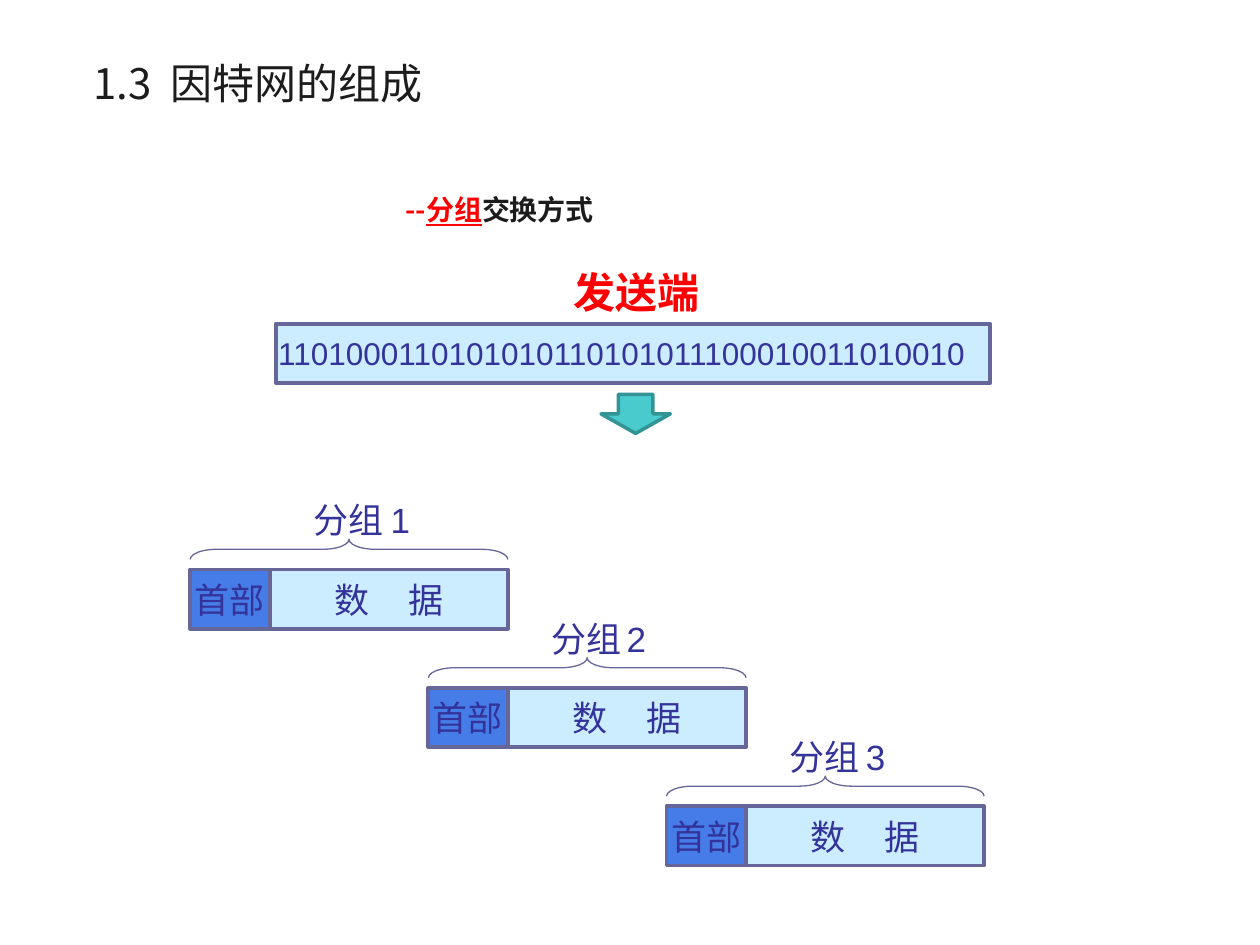
from lxml import etree
from pptx import Presentation
from pptx.dml.color import RGBColor
from pptx.enum.shapes import MSO_SHAPE
from pptx.enum.text import MSO_ANCHOR, MSO_AUTO_SIZE, PP_ALIGN
from pptx.oxml.ns import qn
from pptx.util import Inches, Pt

RECTANGLE = MSO_SHAPE.RECTANGLE
DOWN_ARROW = MSO_SHAPE.DOWN_ARROW
LEFT_BRACE = MSO_SHAPE.LEFT_BRACE
MIDDLE = MSO_ANCHOR.MIDDLE
CENTER = PP_ALIGN.CENTER
FIT_SHAPE = MSO_AUTO_SIZE.SHAPE_TO_FIT_TEXT
NO_FIT = MSO_AUTO_SIZE.NONE

CJK_FONT = "Noto Sans CJK SC"
RED, BLACK, NAVY, SLATE = "FF0000", "1C1C1C", "333399", "666699"
PALE_BLUE, HEADER_BLUE = "CCECFF", "467CE8"

BAR_HEIGHT = 0.47
DATA_WIDTH = 1.89
HEADER_WIDTH = 0.63
PACKET_WIDTH = HEADER_WIDTH + DATA_WIDTH
BRACE_DEPTH = 0.16
LABEL_STYLE = {"size": Pt(20), "name": "Karla"}


def color(hex_value):
    return RGBColor.from_string(hex_value)


def add_run(paragraph, text, hex_color, spacing=None, **font_format):
    """Add a run; spacing is extra letter spacing in points."""
    run = paragraph.add_run()
    run.text = text
    for attribute, value in font_format.items():
        setattr(run.font, attribute, value)
    run.font.color.rgb = color(hex_color)
    properties = run._r.get_or_add_rPr()
    etree.SubElement(properties, qn("a:ea"), typeface=font_format["name"])
    if spacing:
        properties.set("spc", str(int(spacing * 100)))
    return run


def add_text(shapes, left, top, width, height, wrap=False, fit=FIT_SHAPE):
    """Add a text box and return its first paragraph."""
    box = shapes.add_textbox(Inches(left), Inches(top), Inches(width), Inches(height))
    box.text_frame.word_wrap = wrap
    box.text_frame.auto_size = fit
    return box.text_frame.paragraphs[0]


def add_shape(shapes, kind, left, top, width, height, fill=None, line=None, weight=2.25):
    shape = shapes.add_shape(kind, Inches(left), Inches(top), Inches(width), Inches(height))
    shape.shadow.inherit = False
    if fill:
        shape.fill.solid()
        shape.fill.fore_color.rgb = color(fill)
    else:
        shape.fill.background()
    if line:
        shape.line.color.rgb = color(line)
        shape.line.width = Pt(weight)
    else:
        shape.line.fill.background()
    return shape


def centered_paragraph(shape):
    frame = shape.text_frame
    frame.word_wrap = False
    frame.vertical_anchor = MIDDLE
    frame.paragraphs[0].alignment = CENTER
    return frame.paragraphs[0]


def add_title(slide):
    title = slide.shapes.title
    bounds = {"left": 0.16, "top": 0.36, "width": 3.78, "height": 0.6}
    for attribute, value in bounds.items():
        setattr(title, attribute, Inches(value))
    title.text_frame.auto_size = NO_FIT
    paragraph = centered_paragraph(title)
    style = {"size": Pt(24), "name": CJK_FONT}
    add_run(paragraph, "1.3", BLACK, **style)
    add_run(paragraph, " ", BLACK, spacing=5.4, **style)
    add_run(paragraph, "因特网的组成", BLACK, **style)


def add_subtitle(shapes):
    paragraph = add_text(shapes, 2.73, 1.48, 4.22, 0.63, wrap=True, fit=NO_FIT)
    paragraph.space_before = Pt(4)
    properties = paragraph._p.get_or_add_pPr()
    properties.set("marL", str(Inches(0.38)))
    properties.set("indent", str(Inches(0.01)))
    style = {"size": Pt(16), "name": CJK_FONT, "bold": True}
    add_run(paragraph, "--", RED, **style)
    add_run(paragraph, "分组", RED, underline=True, **style)
    add_run(paragraph, "交换方式", BLACK, **style)


def add_message(shapes, left, top):
    """The whole message: three equal segments, a frame and the bits."""
    group = shapes.add_group_shape().shapes
    for index in range(3):
        add_shape(group, RECTANGLE, left + index * DATA_WIDTH, top,
                  DATA_WIDTH, BAR_HEIGHT, PALE_BLUE)
    add_shape(group, RECTANGLE, left, top, 3 * DATA_WIDTH, BAR_HEIGHT, line=SLATE)
    paragraph = add_text(group, left - 0.08, top + 0.03, 5.76, 0.4)
    add_run(paragraph, "1101000110101010110101011100010011010010", NAVY,
            size=Pt(18), name="Arial")


def add_packet(shapes, left, top, number, gap_size):
    """One packet: data, header, brace and numbered label."""
    group = shapes.add_group_shape().shapes
    data = add_shape(group, RECTANGLE, left + HEADER_WIDTH, top,
                     DATA_WIDTH, BAR_HEIGHT, PALE_BLUE, SLATE)
    paragraph = centered_paragraph(data)
    add_run(paragraph, "数", NAVY, **LABEL_STYLE)
    add_run(paragraph, " ", NAVY, spacing=17.5, **LABEL_STYLE)
    add_run(paragraph, "据", NAVY, **LABEL_STYLE)

    header = add_shape(group, RECTANGLE, left, top,
                       HEADER_WIDTH, BAR_HEIGHT, HEADER_BLUE, SLATE)
    add_run(centered_paragraph(header), "首部", NAVY, **LABEL_STYLE)

    # The brace is turned about its centre to lie above the packet
    center_x, center_y = left + PACKET_WIDTH / 2, top - BRACE_DEPTH
    brace = add_shape(group, LEFT_BRACE, center_x - BRACE_DEPTH / 2,
                      center_y - PACKET_WIDTH / 2, BRACE_DEPTH, PACKET_WIDTH,
                      line=SLATE, weight=0.75)
    brace.rotation = 90
    brace.adjustments[0] = 1.31

    # The label is wide enough to keep its number on the same line
    label = add_text(group, left + 0.88, top - 0.61, 1.15, 0.44, wrap=True, fit=NO_FIT)
    add_run(label, "分组", NAVY, **LABEL_STYLE)
    add_run(label, " ", NAVY, size=Pt(gap_size), name="Arial")
    add_run(label, str(number), NAVY, size=Pt(20), name="Arial")


def main():
    presentation = Presentation()
    presentation.slide_width = Inches(10)
    presentation.slide_height = Inches(7.5)
    slide = presentation.slides.add_slide(presentation.slide_layouts[5])
    shapes = slide.shapes

    # Headings
    add_title(slide)
    add_subtitle(shapes)

    # Sender's message and the arrow to its packets
    add_message(shapes, 2.19, 2.57)
    add_shape(shapes, DOWN_ARROW, 4.77, 3.13, 0.55, 0.31, "49CACD", "339496", 2)
    sender = add_text(shapes, 4.45, 2.07, 1.25, 0.5, wrap=True)
    add_run(sender, "发送端", RED, size=Pt(24), name="Arial", bold=True)

    # Packets step down by one data width
    for index, gap_size in enumerate([14, 10, 12]):
        add_packet(shapes, 1.51 + index * DATA_WIDTH, 4.52 + index * 0.94,
                   index + 1, gap_size)

    presentation.save("out.pptx")


if __name__ == "__main__":
    main()
